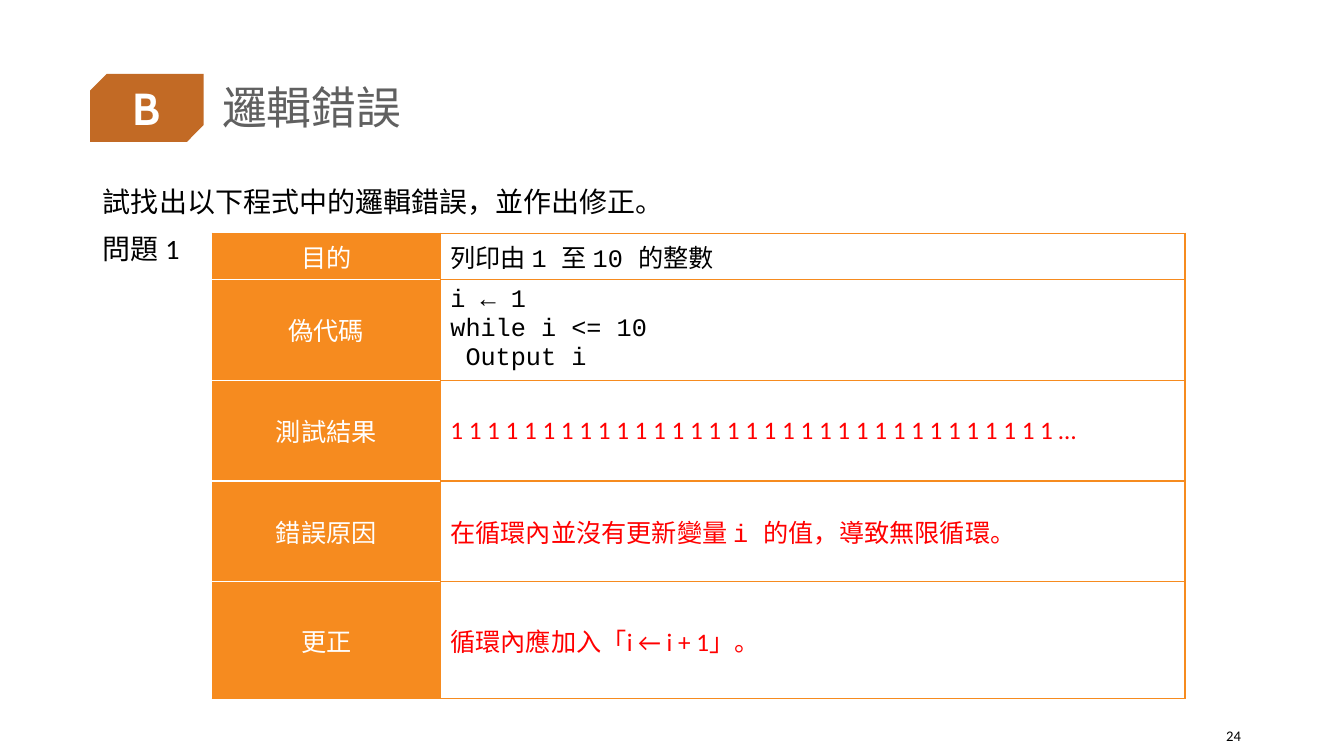
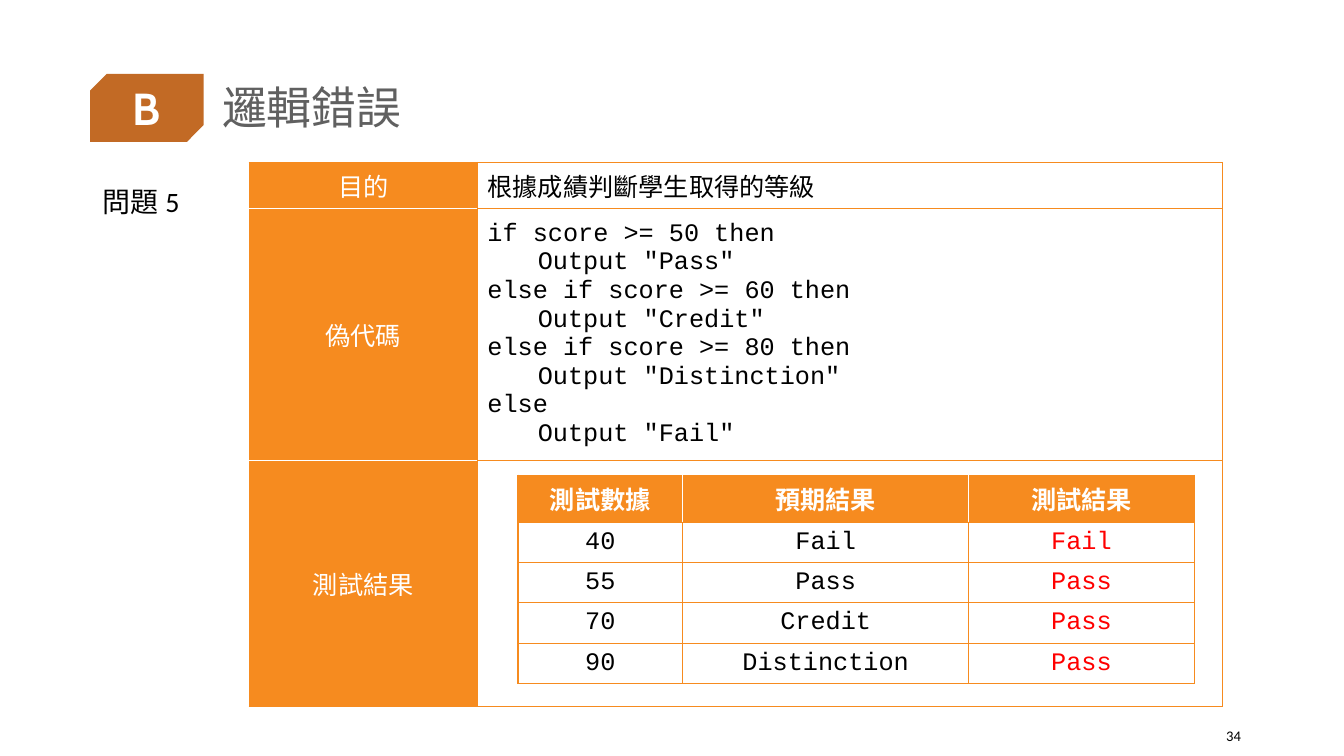
from pptx import Presentation
from pptx.dml.color import RGBColor
from pptx.enum.shapes import MSO_SHAPE as Shape
from pptx.enum.text import MSO_ANCHOR as Anchor, PP_ALIGN as Align
from pptx.oxml.ns import qn
from pptx.util import Pt
from lxml.etree import SubElement

COLORS = {
    "badge": "C26A25",
    "title": "606060",
    "orange": "F68B1F",
    "white": "FFFFFF",
    "text": "000000",
    "answer": "FF0000",
}
CJK, SANS, MONO = "Noto Sans CJK TC", "Calibri", "Courier New"


def add_runs(paragraph, runs, size, color, bold=False):
    for text, font_name in runs:
        run = paragraph.add_run()
        run.text = text
        run.font.size = Pt(size)
        run.font.bold = bold
        run.font.color.rgb = RGBColor.from_string(COLORS[color])
        run.font.name = font_name
        SubElement(run.font._element, qn("a:ea"), typeface=CJK)


def add_grid(slide, left, top, widths, heights, is_header):
    table = slide.shapes.add_table(
        len(heights), len(widths), Pt(left), Pt(top), Pt(sum(widths)), Pt(sum(heights))
    ).table
    table.first_row = table.horz_banding = False
    for column, width in zip(table.columns, widths):
        column.width = Pt(width)
    for row, height in zip(table.rows, heights):
        row.height = Pt(height)
    for r in range(len(heights)):
        for c in range(len(widths)):
            cell = table.cell(r, c)
            cell.vertical_anchor = Anchor.MIDDLE
            properties = cell._tc.get_or_add_tcPr()
            neighbours = {"lnL": (r, c - 1), "lnR": (r, c + 1), "lnT": (r - 1, c), "lnB": (r + 1, c)}
            for side, (nr, nc) in neighbours.items():
                inside = 0 <= nr < len(heights) and 0 <= nc < len(widths)
                divider = inside and is_header(r, c) and is_header(nr, nc)
                line = SubElement(properties, qn(f"a:{side}"), w=str(Pt(1)))
                fill = SubElement(line, qn("a:solidFill"))
                SubElement(fill, qn("a:srgbClr"), val=COLORS["white" if divider else "orange"])
            if is_header(r, c):
                cell.fill.solid()
                cell.fill.fore_color.rgb = RGBColor.from_string(COLORS["orange"])
            else:
                cell.fill.background()
    return table


questions = [
    {
        "page": "24",
        "prompt": [
            [("試找出以下程式中的邏輯錯誤，並作出修正。", CJK)],
            [("問題 1", SANS)],
        ],
        "left": 151.5,
        "top": 166.5,
        "rows": [
            ("目的", 33, "text", [[("列印由 ", CJK), ("1 ", MONO), ("至 ", CJK), ("10 ", MONO), ("的整數", CJK)]]),
            ("偽代碼", 72, "text", [[("i ← 1", MONO)], [("while i <= 10", MONO)], [(" Output i", MONO)]]),
            ("測試結果", 72, "answer", [[("1 " * 33 + "…", SANS)]]),
            ("錯誤原因", 72, "answer", [
                [("在循環內並沒有更新變量 ", SANS), ("i ", MONO), ("的值，導致無限循環。", SANS)],
            ]),
            ("更正", 83.5, "answer", [[("循環內應加入「i ← i + 1」。", SANS)]]),
        ],
    },
    {
        "page": "34",
        "prompt": [[("問題 5", SANS)]],
        "left": 178,
        "top": 116,
        "rows": [
            ("目的", 33, "text", [[("根據成績判斷學生取得的等級", CJK)]]),
            ("偽代碼", 170.5, "text", [[(code, MONO)] for code in (
                "if score >= 50 then",
                '\tOutput "Pass"',
                "else if score >= 60 then",
                '\tOutput "Credit"',
                "else if score >= 80 then",
                '\tOutput "Distinction"',
                "else",
                '\tOutput "Fail"',
            )]),
            ("測試結果", 175.5, "text", []),
        ],
        "tests": [
            ("測試數據", "預期結果", "測試結果"),
            ("40", "Fail", "Fail"),
            ("55", "Pass", "Pass"),
            ("70", "Credit", "Pass"),
            ("90", "Distinction", "Pass"),
        ],
    },
]

prs = Presentation()
prs.slide_width, prs.slide_height = Pt(960), Pt(540)

for question in questions:
    slide = prs.slides.add_slide(prs.slide_layouts[6])

    badge = slide.shapes.add_shape(Shape.SNIP_2_DIAG_RECTANGLE, Pt(64.5), Pt(52.75), Pt(81), Pt(48.5))
    badge.adjustments[0], badge.adjustments[1] = 0.245, 0
    badge.shadow.inherit = False
    badge.fill.solid()
    badge.fill.fore_color.rgb = RGBColor.from_string(COLORS["badge"])
    badge.line.fill.background()
    letter = badge.text_frame
    letter.margin_left = letter.margin_right = letter.margin_top = letter.margin_bottom = 0
    letter.vertical_anchor = Anchor.MIDDLE
    letter.paragraphs[0].alignment = Align.CENTER
    add_runs(letter.paragraphs[0], [("B", "Cabin")], 32, "white", True)

    title = slide.shapes.add_textbox(Pt(151.5), Pt(29), Pt(743), Pt(99)).text_frame
    title.word_wrap = True
    title.vertical_anchor = Anchor.MIDDLE
    title.paragraphs[0].line_spacing = 0.9
    add_runs(title.paragraphs[0], [("邏輯錯誤", CJK)], 32, "title")

    page = slide.shapes.add_textbox(Pt(833), Pt(511), Pt(60.5), Pt(29)).text_frame
    page.word_wrap = True
    page.vertical_anchor = Anchor.MIDDLE
    page.paragraphs[0].alignment = Align.RIGHT
    add_runs(page.paragraphs[0], [(question["page"], SANS)], 10.5, "text")

    prompt = slide.shapes.add_textbox(Pt(66.5), Pt(128), Pt(828), Pt(90)).text_frame
    prompt.word_wrap = True
    for i, runs in enumerate(question["prompt"]):
        paragraph = prompt.add_paragraph() if i else prompt.paragraphs[0]
        if i:
            paragraph.space_before = Pt(10)
        add_runs(paragraph, runs, 20, "text")

    rows = question["rows"]
    worksheet = add_grid(
        slide, question["left"], question["top"], [163, 532],
        [height for _, height, _, _ in rows], lambda r, c: c == 0,
    )
    for r, (label, _, color, lines) in enumerate(rows):
        heading = worksheet.cell(r, 0).text_frame.paragraphs[0]
        heading.alignment = Align.CENTER
        add_runs(heading, [(label, CJK)], 18, "white")
        content = worksheet.cell(r, 1).text_frame
        for i, runs in enumerate(lines):
            paragraph = content.add_paragraph() if i else content.paragraphs[0]
            add_runs(paragraph, runs, 18, color)

    if "tests" in question:
        results = add_grid(
            slide, 370, 339.5, [117.5, 204.5, 161], [33.5] + [27.6] * 4, lambda r, c: r == 0
        )
        for r, values in enumerate(question["tests"]):
            for c, value in enumerate(values):
                paragraph = results.cell(r, c).text_frame.paragraphs[0]
                paragraph.alignment = Align.CENTER
                if r == 0:
                    add_runs(paragraph, [(value, CJK)], 18, "white", True)
                else:
                    add_runs(paragraph, [(value, MONO)], 18, "answer" if c == 2 else "text")

prs.save("out.pptx")
